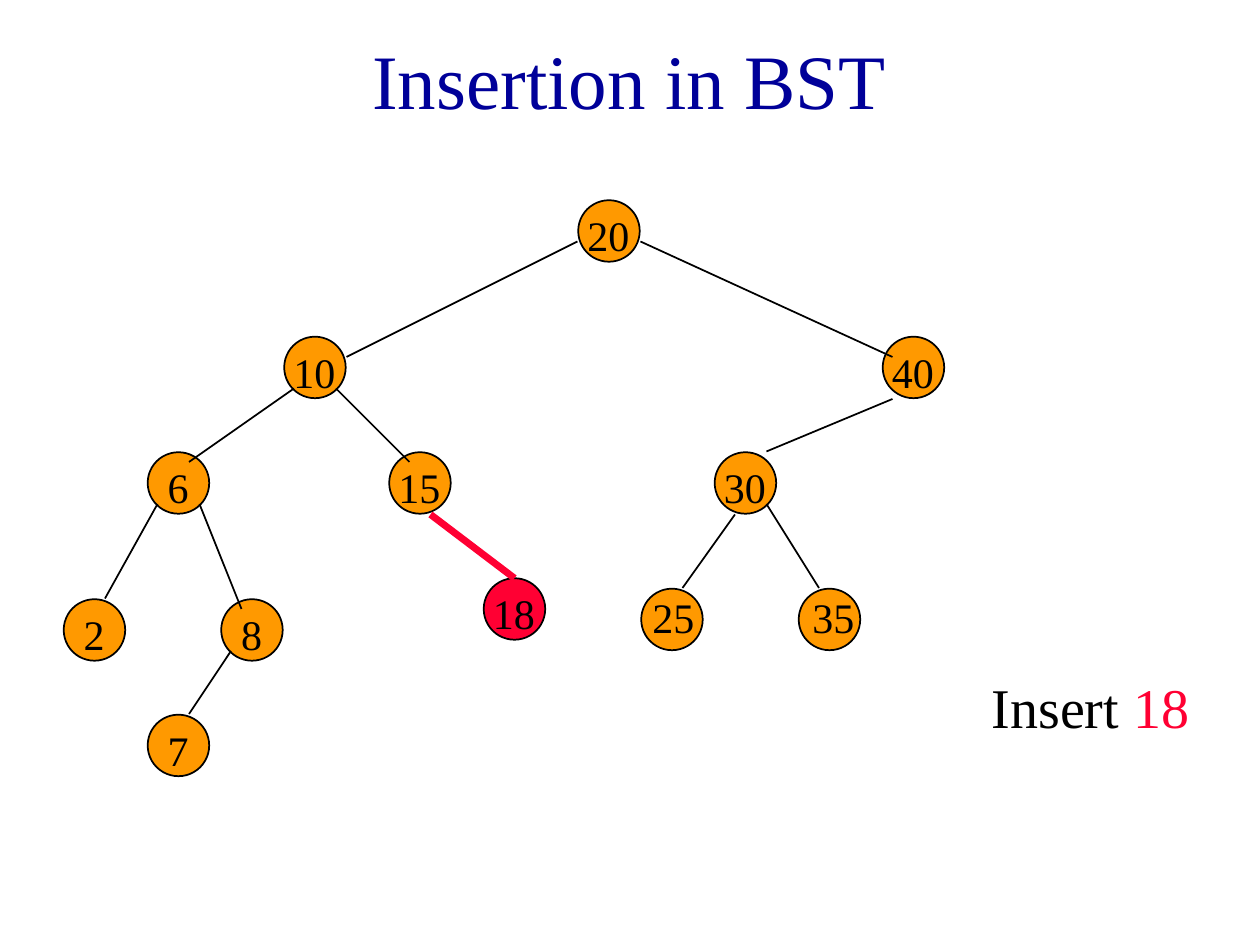
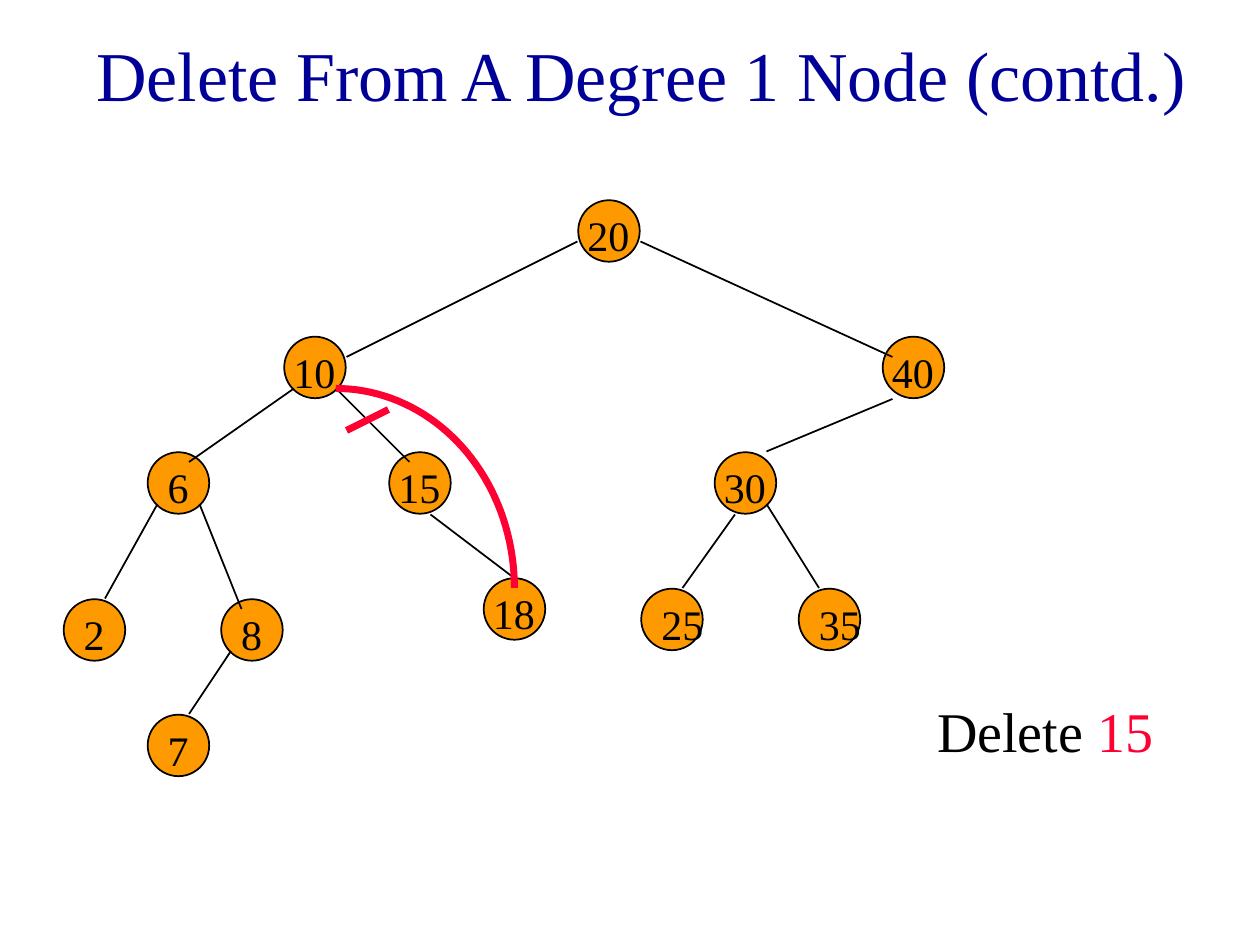
from math import cos, pi, sin

from pptx import Presentation
from pptx import util as u
from pptx.dml.color import RGBColor
from pptx.enum import shapes, text
from pptx.oxml.ns import qn

FONT = "Times New Roman"
COLOURS = {"title": "000099", "node": "FF9900", "accent": "FF0033", "ink": "000000"}
THIN, THICK = u.Pt(1), u.Pt(4)
NODE_SIZE = u.Cm(1.24)
LABEL_HEIGHT, LABEL_RISE = u.Cm(1.27), u.Cm(0.55)
LABEL_WIDTHS = {1: u.Cm(0.94), 2: u.Cm(1.37)}

# Node centres and branch ends, in grid steps
NODES = {
    20: (58, 22), 10: (30, 35), 40: (87, 35), 6: (17, 46), 15: (40, 46), 30: (71, 46),
    2: (9, 60), 8: (24, 60), 25: (64, 59), 35: (79, 59), 7: (17, 71), 18: (49, 58),
}
BRANCHES = {
    (20, 10): (55, 23, 33, 34), (20, 40): (61, 23, 85, 34),
    (10, 6): (28, 37, 18, 44), (10, 15): (32, 37, 39, 44),
    (40, 30): (85, 38, 73, 43), (6, 2): (15, 48, 10, 57),
    (6, 8): (19, 48, 23, 58), (30, 25): (70, 49, 65, 56),
    (30, 35): (73, 48, 78, 56), (8, 7): (22, 62, 18, 68),
    (15, 18): (41, 49, 49, 55),
}


def grid(steps):
    """Twelve grid steps make 2.54 cm."""
    return u.Cm(steps * 2.54 / 12)


def colour(name):
    return RGBColor.from_string(COLOURS[name])


def set_all(target, values):
    for attribute, value in values.items():
        setattr(target, attribute, value)


def style_line(outlined, name, width):
    outlined.line.color.rgb = colour(name)
    outlined.line.width = width


def add_words(canvas, box, runs, size, frame_format, paragraph_format=None):
    frame = canvas.add_textbox(*box).text_frame
    set_all(frame, frame_format)
    paragraph = frame.paragraphs[0]
    set_all(paragraph, paragraph_format or {})
    for words, name in runs:
        run = paragraph.add_run()
        run.text = words
        set_all(run.font, {"name": FONT, "size": u.Pt(size)})
        run.font.color.rgb = colour(name)


def add_title(slide, words, box, size):
    add_words(slide.shapes, box, [(words, "title")], size,
              {"word_wrap": True, "vertical_anchor": text.MSO_ANCHOR.MIDDLE},
              {"alignment": text.PP_ALIGN.CENTER})


def add_task(slide, verb, key, box):
    add_words(slide.shapes, box, [(f"{verb} ", "ink"), (str(key), "accent")], 32,
              {"word_wrap": True}, {"space_before": u.Pt(4)})


def add_node(canvas, key, fill):
    x, y = NODES[key]
    node = canvas.add_shape(shapes.MSO_SHAPE.OVAL, grid(x) - NODE_SIZE // 2,
                            grid(y) - NODE_SIZE // 2, NODE_SIZE, NODE_SIZE)
    node.shadow.inherit = False
    node.fill.solid()
    node.fill.fore_color.rgb = colour(fill)
    style_line(node, "ink", THIN)
    return node


def add_label(canvas, key, nudge):
    x, y = NODES[key]
    width = LABEL_WIDTHS[len(str(key))]
    box = (grid(x) - width // 2 + u.Cm(nudge[0]),
           grid(y) - LABEL_RISE + u.Cm(nudge[1]), width, LABEL_HEIGHT)
    add_words(canvas, box, [(str(key), "ink")], 24,
              {"word_wrap": False, "auto_size": text.MSO_AUTO_SIZE.SHAPE_TO_FIT_TEXT})


def add_stroke(canvas, ends, name="ink", width=THIN):
    stroke = canvas.add_connector(shapes.MSO_CONNECTOR.STRAIGHT, *map(grid, ends))
    style_line(stroke, name, width)
    stroke._element.spPr.append(stroke._element.makeelement(qn("a:effectLst"), {}))
    return stroke


def add_tree(canvas, nudges, inserted=None):
    """Draw the search tree; an inserted key and its branch stand out."""
    nodes = {key: add_node(canvas, key, "accent" if key == inserted else "node")
             for key in NODES}
    for (_, child), ends in BRANCHES.items():
        look = ("accent", THICK) if child == inserted else ("ink", THIN)
        branch = add_stroke(canvas, ends, *look)
        if child == 18:
            branch.end_connect(nodes[child], 0)
    for key in NODES:
        add_label(canvas, key, nudges.get(key, (0, 0)))


def add_bypass(canvas, start, end, steps=40):
    """Draw a quarter ellipse that leaves start level and reaches end upright."""
    (x0, y0), (x1, y1) = start, end
    angles = [pi / 2 * step / steps for step in range(steps + 1)]
    points = [(grid(x0 + (x1 - x0) * sin(a)), grid(y1 - (y1 - y0) * cos(a)))
              for a in angles]
    builder = canvas.build_freeform(*points[0])
    builder.add_line_segments(points[1:], close=False)
    bypass = builder.convert_to_shape()
    bypass.shadow.inherit = False
    bypass.fill.background()
    style_line(bypass, "accent", THICK)


def build_insertion(slide):
    add_title(slide, "Insertion in BST",
              (u.Cm(0.3), u.Cm(0), u.Cm(24.77), u.Cm(3.18)), 44)
    add_tree(slide.shapes, {25: (0.04, -0.13), 35: (0.09, -0.13)}, inserted=18)
    add_task(slide, "Insert", 18, (u.Cm(19.74), u.Cm(13.44), u.Cm(5.08), u.Cm(1.6)))


def build_deletion(slide):
    add_title(slide, "Delete From A Degree 1 Node (contd.)",
              (u.Cm(0.86), u.Cm(-0.1), u.Cm(24.13), u.Cm(3.18)), 40)
    add_task(slide, "Delete", 15, (u.Cm(18.64), u.Cm(13.92), u.Cm(6.12), u.Cm(1.6)))
    tree = slide.shapes.add_group_shape()
    add_tree(tree.shapes, {25: (0.22, 0), 35: (0.22, 0)})
    # The new link from 10 to 18, and the cut through the old one
    add_bypass(slide.shapes, (32, 37), (49, 56))
    add_stroke(slide.shapes, (37, 39, 33, 41), "accent", THICK)


def main():
    deck = Presentation()
    set_all(deck, {"slide_width": u.Cm(25.4), "slide_height": u.Cm(19.05)})
    for build in (build_insertion, build_deletion):
        build(deck.slides.add_slide(deck.slide_layouts[6]))
    deck.save("out.pptx")


if __name__ == "__main__":
    main()
